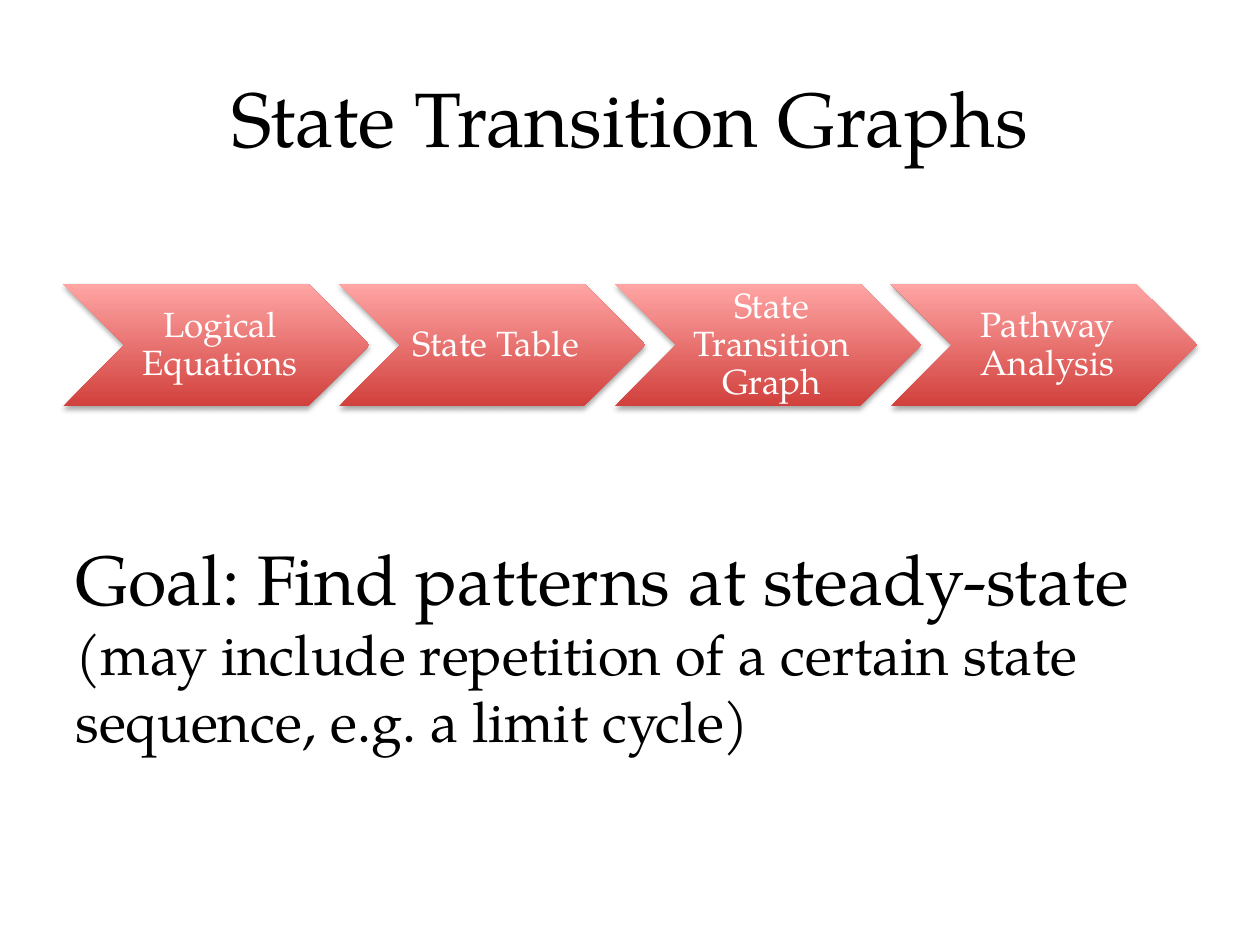
from lxml import etree
from pptx import Presentation, util as u
from pptx.dml.color import RGBColor
from pptx.enum import shapes, text
from pptx.oxml import ns

BLACK = RGBColor(0x00, 0x00, 0x00)
WHITE = RGBColor(0xFF, 0xFF, 0xFF)
DARK_RED = RGBColor(0xD1, 0x40, 0x3C)
LIGHT_RED = RGBColor(0xFF, 0xA6, 0xA5)
FONT = "TeX Gyre Pagella"
WIDTH, HEIGHT = u.Inches(10), u.Inches(7.5)
MARGIN = WIDTH * 0.05
CONTENT = WIDTH - 2 * MARGIN
STEPS = ["Logical Equations", "State Table", "State Transition Graph", "Pathway Analysis"]
PITCH = 0.9
LABEL_FRAME = {
    "margin_left": u.Inches(0.09), "margin_top": u.Inches(0.03),
    "margin_right": u.Inches(0.03), "margin_bottom": u.Inches(0.03),
}


def set_all(target, values):
    """Set each named attribute on the target."""
    for name, value in values.items():
        setattr(target, name, value)


def add_text(parent, box, lines, color, frame=None, layout=None):
    """Write (wording, points) lines as paragraphs in a text box."""
    shape = parent.add_textbox(*map(int, box))
    text_frame = shape.text_frame
    set_all(text_frame, {"word_wrap": True, **(frame or {})})
    for index, (wording, points) in enumerate(lines):
        paragraph = text_frame.add_paragraph() if index else text_frame.paragraphs[0]
        set_all(paragraph, layout or {})
        run = paragraph.add_run()
        run.text = wording
        set_all(run.font, {"name": FONT, "size": u.Pt(points)})
        run.font.color.rgb = color


def add_shadow(shape):
    """Give a shape a soft black shadow straight below it."""
    shape.shadow.inherit = False
    effects = shape.element.spPr.find(ns.qn("a:effectLst"))
    shadow = etree.SubElement(
        effects, ns.qn("a:outerShdw"), blurRad=str(u.Pt(3.1)), dist=str(u.Pt(1.8)),
        dir="5400000", rotWithShape="0")
    color = etree.SubElement(shadow, ns.qn("a:srgbClr"), val=str(BLACK))
    etree.SubElement(color, ns.qn("a:alpha"), val="35000")


def add_chevron(parent, box):
    """Draw one shaded chevron that fills the box."""
    shape = parent.add_shape(shapes.MSO_SHAPE.CHEVRON, *map(int, box))
    shape.fill.gradient()
    shape.fill.gradient_angle = 90
    for stop, position, color in zip(shape.fill.gradient_stops, (0, 1), (DARK_RED, LIGHT_RED)):
        stop.position = position
        stop.color.rgb = color
    shape.line.fill.background()
    add_shadow(shape)


def add_process(slide, box, steps):
    """Lay overlapping chevrons with labels across the box."""
    left, top, width, height = box
    parent = slide.shapes.add_group_shape().shapes
    size = width / (1 + PITCH * (len(steps) - 1))
    for index, step in enumerate(steps):
        start = left + index * PITCH * size
        add_chevron(parent, (start, top, size, height))
        add_text(parent, (start + 0.2 * size, top, 0.6 * size, height), [(step, 20)], WHITE,
                 {**LABEL_FRAME, "vertical_anchor": text.MSO_ANCHOR.MIDDLE},
                 {"alignment": text.PP_ALIGN.CENTER, "line_spacing": 0.9})


def add_title(slide, box, wording):
    """Centre the title in the box."""
    add_text(slide.shapes, box, [(wording, 44)], BLACK,
             {"vertical_anchor": text.MSO_ANCHOR.MIDDLE},
             {"alignment": text.PP_ALIGN.CENTER})


def add_goal(slide, box):
    """Write the goal and its smaller remark in the box."""
    add_text(slide.shapes, box, [
        ("Goal: Find patterns at steady-state", 40),
        ("(may include repetition of a certain state sequence, e.g. a limit cycle)", 32),
    ], BLACK, {"auto_size": text.MSO_AUTO_SIZE.SHAPE_TO_FIT_TEXT})


def main():
    """Build the slide and save it."""
    presentation = Presentation()
    set_all(presentation, {"slide_width": WIDTH, "slide_height": HEIGHT})
    slide = presentation.slides.add_slide(presentation.slide_layouts[6])
    add_process(slide, (MARGIN, HEIGHT * 0.3, CONTENT, HEIGHT * 0.13), STEPS)
    add_title(slide, (MARGIN, HEIGHT * 0.04, CONTENT, HEIGHT / 6), "State Transition Graphs")
    add_goal(slide, (MARGIN, HEIGHT * 0.56, WIDTH * 0.87, HEIGHT * 0.25))
    presentation.save("out.pptx")


if __name__ == "__main__":
    main()
